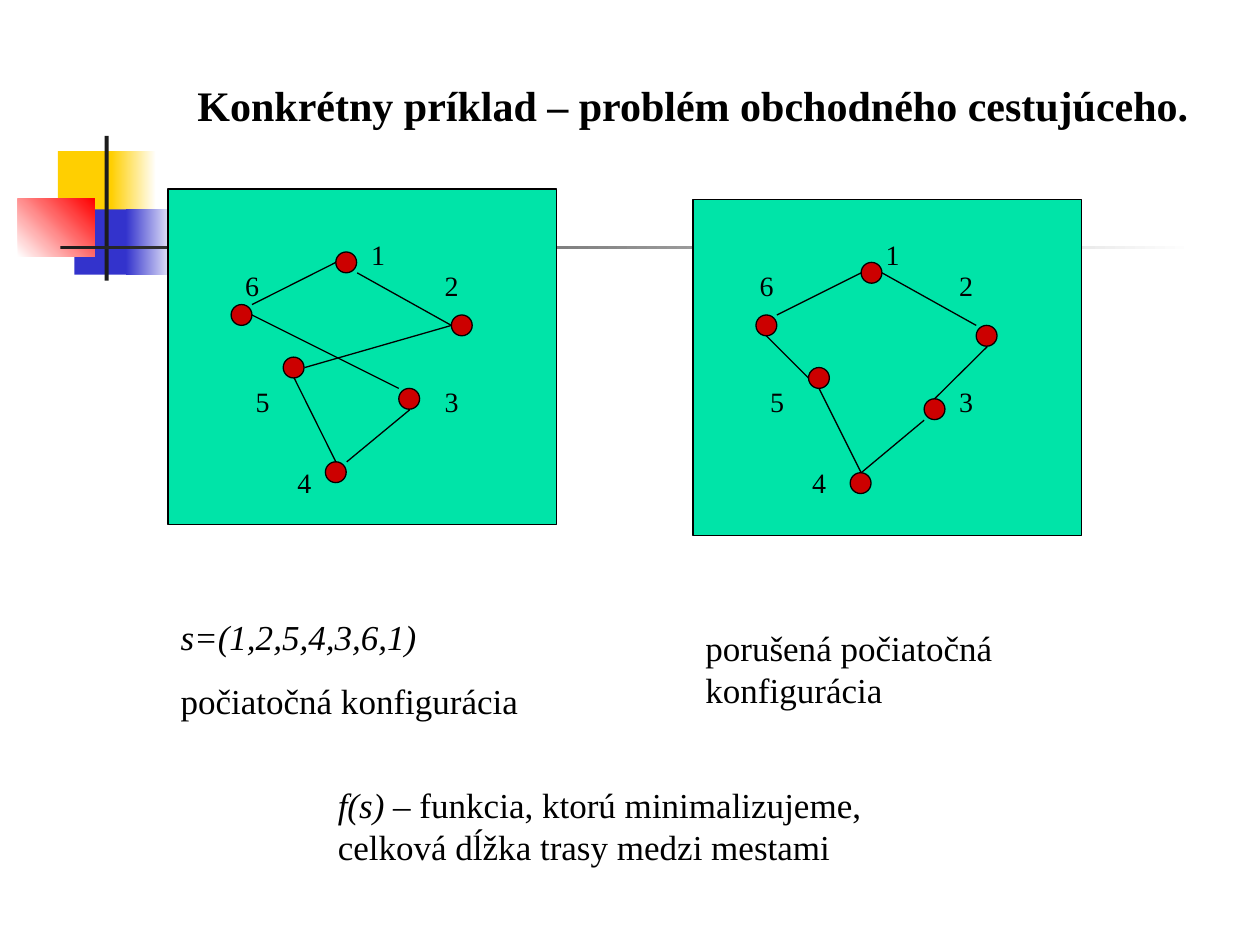
import lxml.etree
import pptx
import pptx.dml.color
import pptx.enum.shapes
import pptx.enum.text
import pptx.oxml.ns
import pptx.util

Cm, Pt = pptx.util.Cm, pptx.util.Pt
ALIGN = pptx.enum.text.PP_ALIGN
SHAPE = pptx.enum.shapes.MSO_SHAPE

COLORS = {"yellow": "FFCF01", "blue": "3333CC", "red": "FF0000", "dark": "1C1C1C",
          "white": "FFFFFF", "black": "000000", "panel": "00E4A8", "city": "CC0000"}
FONT = "Times New Roman"
UNIT = 2.54 / 12
PANEL_SIZE = (37, 32)
CITY_SIZE = 2

TITLE = ("Konkrétny príklad – problém obchodného cestujúceho.", (2.54, 1.47, 22.86, 1.27))
ORNAMENT = [
    ((1.17, 3.05, 1.22, 1.32), ["yellow"], 0),
    ((2.24, 3.05, 0.91, 1.32), ["yellow", "white"], 0),
    ((1.5, 4.22, 1.17, 1.32), ["blue"], 0),
    ((2.54, 4.22, 1.02, 1.32), ["blue", "white"], 0),
    ((0.36, 4.01, 1.55, 1.17), ["white", "red"], 45),
    ((2.11, 2.74, 0.08, 2.92), ["dark"], 0),
    ((1.22, 4.95, 22.86, 0.08), ["dark", "white"], 0),
]
CITIES = {"1": (16, 6), "2": (27, 12), "3": (22, 19),
          "4": (15, 26), "5": (11, 16), "6": (6, 11)}
LABELS = {"1": (18, 4), "2": (25, 7), "3": (25, 18),
          "4": (11, 25.8), "5": (7, 18), "6": (6, 7)}
PORTS = {"nw": (0, 0), "n": (1, 0), "ne": (2, 0), "e": (2, 1),
         "se": (2, 2), "s": (1, 2), "sw": (0, 2), "w": (0, 1)}
TOURS = [
    {"origin": (16, 18), "label_shift": 0,
     "roads": ["1 se 2 w", "2 w 5 e", "5 s 4 n", "4 ne 3 s", "3 nw 6 e", "6 ne 1 w"]},
    {"origin": (66, 19), "label_shift": -1,
     "roads": ["1 e 2 nw", "5 s 4 n", "4 n 3 sw", "6 ne 1 w", "6 s 5 w", "2 s 3 n"]},
]
CAPTIONS = [
    ((3.39, 12.28, 7.41, 2.39),
     [[("s=(1,2,5,4,3,6,1)", True)], [("počiatočná konfigurácia", False)]]),
    ((13.97, 12.5, 7.83, 1.96), [[("porušená počiatočná konfigurácia", False)]]),
    ((6.56, 15.66, 11.64, 1.96),
     [[("f(s)", True),
       (" – funkcia, ktorú minimalizujeme, celková dĺžka trasy medzi mestami", False)]]),
]


def rgb(color):
    return pptx.dml.color.RGBColor.from_string(COLORS[color])


def set_all(target, values):
    for attribute, value in values.items():
        setattr(target, attribute, value)


def lengths(box):
    return [Cm(round(value, 2)) for value in box]


def grid(*units):
    return [value * UNIT for value in units]


def outline(line):
    line.color.rgb = rgb("black")
    line.width = Pt(0.75)


def draw_shape(shapes, kind, box, colors, angle=0, outlined=False):
    shape = shapes.add_shape(kind, *lengths(box))
    shape.shadow.inherit = False
    if len(colors) == 1:
        shape.fill.solid()
        shape.fill.fore_color.rgb = rgb(colors[0])
    else:
        shape.fill.gradient()
        shape.fill.gradient_angle = angle
        for stop, color in zip(shape.fill.gradient_stops, colors):
            stop.color.rgb = rgb(color)
    if outlined:
        outline(shape.line)
    else:
        shape.line.fill.background()


def write(frame, paragraphs, size, space, align=ALIGN.LEFT, bold=False):
    set_all(frame, {"word_wrap": True, "auto_size": pptx.enum.text.MSO_AUTO_SIZE.SHAPE_TO_FIT_TEXT,
                    "vertical_anchor": pptx.enum.text.MSO_ANCHOR.TOP})
    for index, pieces in enumerate(paragraphs):
        paragraph = frame.add_paragraph() if index else frame.paragraphs[0]
        set_all(paragraph, {"alignment": align, "space_before": Pt(space)})
        for words, italic in pieces:
            run = paragraph.add_run()
            run.text = words
            set_all(run.font, {"name": FONT, "size": Pt(size), "bold": bold, "italic": italic})
            run.font.color.rgb = rgb("black")


def draw_road(shapes, start, end):
    road = shapes.add_connector(pptx.enum.shapes.MSO_CONNECTOR.STRAIGHT,
                                *lengths(grid(*start, *end)))
    outline(road.line)
    lxml.etree.SubElement(road._element.spPr, pptx.oxml.ns.qn("a:effectLst"))


def draw_tour(slide, tour):
    shapes = slide.shapes.add_group_shape().shapes
    left, top = tour["origin"]
    shift = tour["label_shift"]

    def port_point(city, port):
        (x, y), (dx, dy) = CITIES[city], PORTS[port]
        return left + x + dx, top + y + dy

    draw_shape(shapes, SHAPE.RECTANGLE, grid(left, top, *PANEL_SIZE), ["panel"], outlined=True)
    for x, y in CITIES.values():
        draw_shape(shapes, SHAPE.OVAL, grid(left + x, top + y, CITY_SIZE, CITY_SIZE),
                   ["city"], outlined=True)
    for city, (x, y) in LABELS.items():
        label = shapes.add_textbox(*lengths(grid(left + x + shift, top + y + shift, 4, 4.44)))
        write(label.text_frame, [[(city, False)]], 16, 10, ALIGN.CENTER)
    for road in tour["roads"]:
        start, start_port, end, end_port = road.split()
        draw_road(shapes, port_point(start, start_port), port_point(end, end_port))


def main():
    """Build the travelling salesman slide."""
    deck = pptx.Presentation()
    set_all(deck, {"slide_width": Cm(25.4), "slide_height": Cm(19.05)})
    slide = deck.slides.add_slide(deck.slide_layouts.get_by_name("Title Only"))
    for box, colors, angle in ORNAMENT:
        draw_shape(slide.shapes, SHAPE.RECTANGLE, box, colors, angle)
    words, box = TITLE
    title = slide.shapes.title
    set_all(title, dict(zip(("left", "top", "width", "height"), lengths(box))))
    write(title.text_frame, [[(words, False)]], 24, 15, ALIGN.CENTER, bold=True)
    for tour in TOURS:
        draw_tour(slide, tour)
    for box, paragraphs in CAPTIONS:
        caption = slide.shapes.add_textbox(*lengths(box))
        write(caption.text_frame, paragraphs, 20, 12.5)
    deck.save("out.pptx")


if __name__ == "__main__":
    main()
